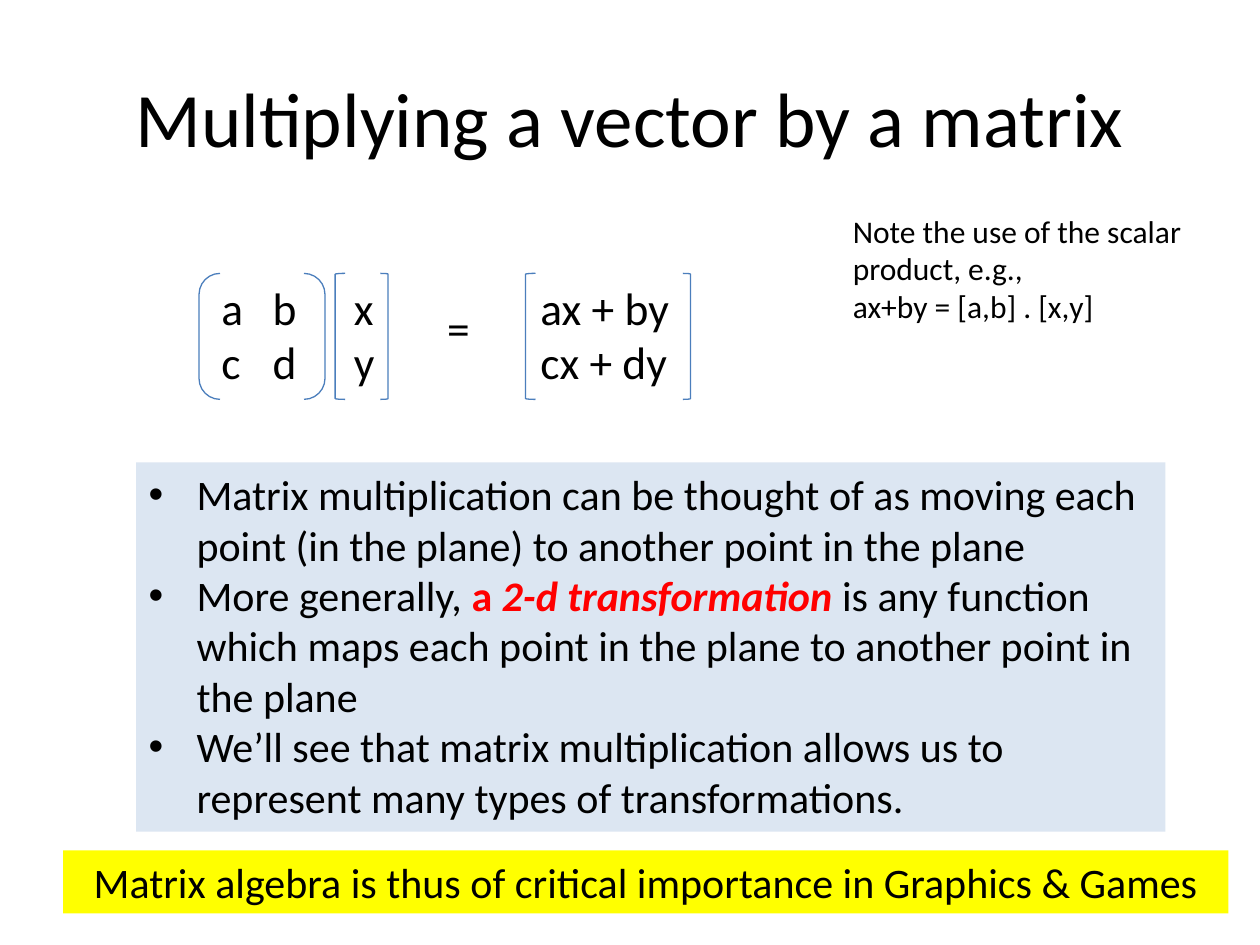
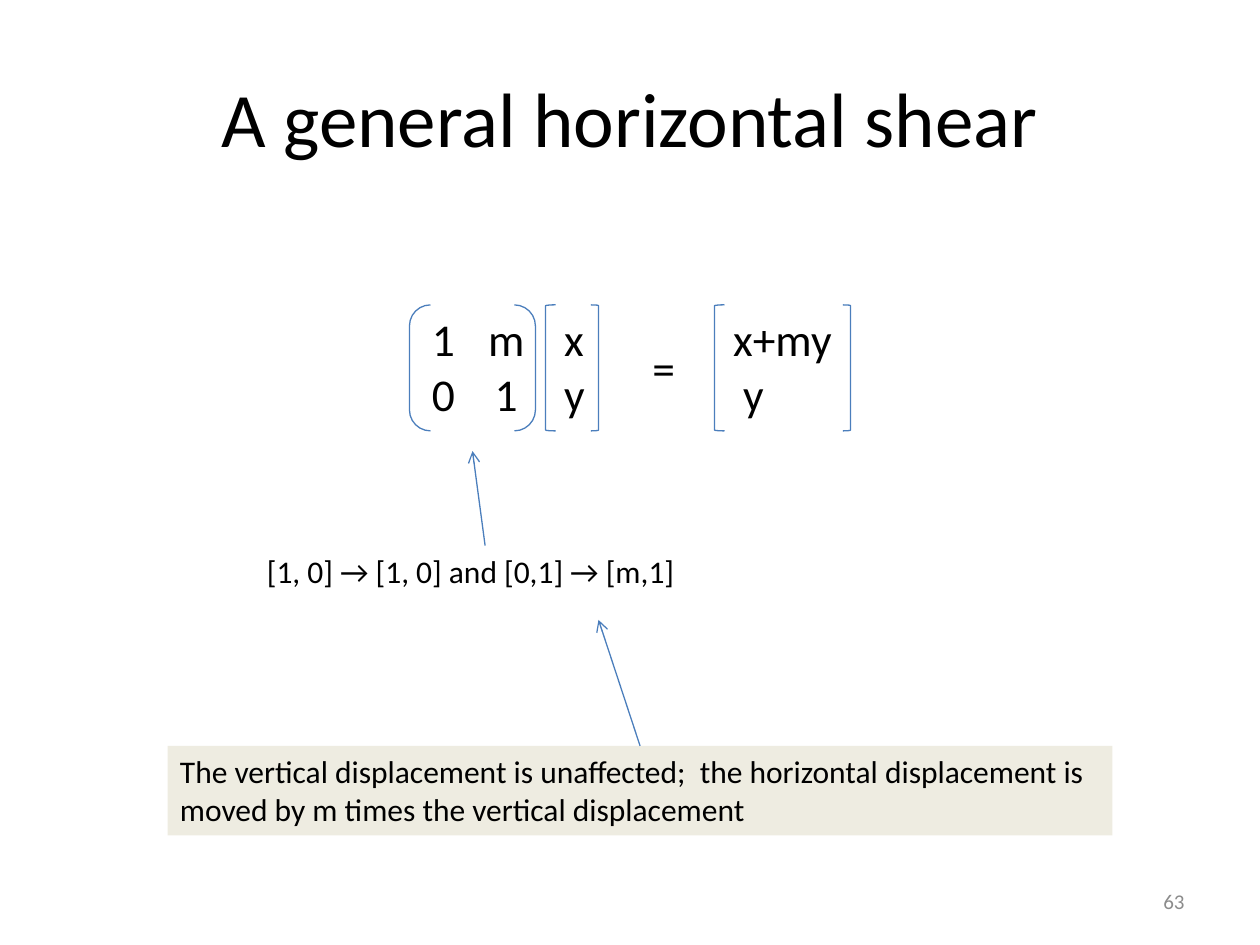
import pptx
import pptx.util
import pptx.dml.color
import pptx.enum.shapes
import pptx.enum.text
import pptx.oxml.ns
import lxml.etree

Inches = pptx.util.Inches
SHAPE = pptx.enum.shapes.MSO_SHAPE
ALIGN = pptx.enum.text.PP_ALIGN
ANCHOR = pptx.enum.text.MSO_ANCHOR

FONT = "Calibri"
BLACK, RED, GREY, BLUE = "000000", "FF0000", "8C8C8C", "4B7EBC"
PALE, YELLOW, CREAM = "DCE6F2", "FFFF00", "EEECE1"

POINTS = [
    "Matrix multiplication can be thought of as moving each point (in the plane) to another point in the plane",
    [
        "More generally, ",
        ("a", {"color": RED, "bold": True}),
        (" 2-d transformation ", {"color": RED, "bold": True, "italic": True}),
        "is any function which maps each point in the plane to another point in the plane",
    ],
    "We’ll see that matrix multiplication allows us to represent many types of transformations.",
]
CLAIM = ["Matrix algebra is thus of critical importance in Graphics & Games"]
NOTE = ["Note the use of the scalar product, e.g.,", "ax+by = [a,b] . [x,y]"]
BASIS = ["[1, 0] → [1, 0] and [0,1] → [m,1]"]
EFFECT = ["The vertical displacement is unaffected;  the horizontal displacement is moved by m times the vertical displacement"]

PRODUCT = {
    "left": 1.58, "top": 2.17, "matrix": ["a\tb", "c\td"], "tab": 0.5,
    "equal": (3.45, 2.33), "sides": (4.17, 5.48), "inset": 0.02,
    "result": ["ax + by", "cx + dy"],
}
SHEAR = {
    "left": 3.25, "top": 2.42, "matrix": ["1\tm", "0\t1"], "tab": 0.59,
    "equal": (5.08, 2.65), "sides": (5.67, 6.75), "inset": 0.05,
    "result": ["x+my", "y"], "shift": 0.08,
}
ARROWS = [((3.85, 4.33), (3.75, 3.58)), ((5.08, 5.92), (4.75, 4.92))]


def rgb(code):
    return pptx.dml.color.RGBColor.from_string(code)


def add(node, tag, **attrs):
    return lxml.etree.SubElement(node, pptx.oxml.ns.qn(tag), **attrs)


def place(shape, box):
    shape.left, shape.top, shape.width, shape.height = map(Inches, box)


def write(shape, lines, size=26, color=BLACK, align=ALIGN.LEFT,
          anchor=ANCHOR.TOP, wrap=True, bullet=False, tab=None):
    frame = shape.text_frame
    frame.auto_size = pptx.enum.text.MSO_AUTO_SIZE.NONE
    frame.word_wrap = wrap
    frame.vertical_anchor = anchor
    for row, line in enumerate(lines):
        para = frame.add_paragraph() if row else frame.paragraphs[0]
        props = para._p.get_or_add_pPr()
        if bullet:
            gap = Inches(0.38)
            props.set("marL", str(gap))
            props.set("indent", str(-gap))
            add(props, "a:buFont", typeface="Arial")
            add(props, "a:buChar", char="•")
        if tab:
            stops = add(props, "a:tabLst")
            add(stops, "a:tab", pos=str(Inches(tab)), algn="ctr")
        para.alignment = align
        para.space_before = pptx.util.Pt(0)
        for part in [line] if isinstance(line, str) else line:
            words, look = (part, {}) if isinstance(part, str) else part
            run = para.add_run()
            run.text = words
            font = run.font
            font.name, font.size = FONT, pptx.util.Pt(size)
            font.color.rgb = rgb(look.get("color", color))
            font.bold = look.get("bold", False)
            font.italic = look.get("italic", False)
    return shape


def label(slide, box, lines, **look):
    return write(slide.shapes.add_textbox(*map(Inches, box)), lines, **look)


def panel(slide, box, lines, fill, **look):
    shape = label(slide, box, lines, **look)
    shape.fill.solid()
    shape.fill.fore_color.rgb = rgb(fill)


def bracket(slide, kind, left, top, width):
    shape = slide.shapes.add_shape(kind, *map(Inches, (left, top, width, 1)))
    shape.shadow.inherit = False
    shape.fill.background()
    shape.line.color.rgb = rgb(BLUE)
    shape.line.width = pptx.util.Pt(0.75)


def column(slide, left, right, top, inset, lines):
    bracket(slide, SHAPE.LEFT_BRACKET, left, top, 0.08)
    bracket(slide, SHAPE.RIGHT_BRACKET, right - 0.06, top, 0.06)
    box = (left + inset, top, right - left - inset, 0.98)
    return label(slide, box, lines, wrap=False)


def formula(slide, left, top, matrix, tab, equal, sides, inset, result, shift=0):
    bracket(slide, SHAPE.DOUBLE_BRACKET, left, top, 1)
    label(slide, (left + 0.08, top, 1.67, 0.98), matrix, tab=tab)
    column(slide, left + 1.08, left + 1.5, top, 0.05, ["x", "y"])
    label(slide, (*equal, 0.38, 0.54), ["="], wrap=False)
    answer = column(slide, *sides, top, inset, result)
    if shift:
        last = answer.text_frame.paragraphs[-1]
        last._p.get_or_add_pPr().set("marL", str(Inches(shift)))


def arrow(slide, start, end):
    line = slide.shapes.add_connector(
        pptx.enum.shapes.MSO_CONNECTOR.STRAIGHT, *map(Inches, start + end))
    line.line.color.rgb = rgb(BLUE)
    line.line.width = pptx.util.Pt(0.75)
    add(line.line._get_or_add_ln(), "a:tailEnd", type="arrow")
    add(line._element.spPr, "a:effectLst")


def start(deck, layout, title):
    slide = deck.slides.add_slide(deck.slide_layouts[layout])
    place(slide.shapes.title, (0.5, 0.3, 9, 1.25))
    write(slide.shapes.title, [title], size=44,
          align=ALIGN.CENTER, anchor=ANCHOR.MIDDLE)
    return slide


def multiply(deck):
    slide = start(deck, 1, "Multiplying a vector by a matrix")
    formula(slide, **PRODUCT)
    body = slide.placeholders[1]
    place(body, (1.08, 3.67, 8.17, 2.93))
    body.fill.solid()
    body.fill.fore_color.rgb = rgb(PALE)
    write(body, POINTS, size=24, bullet=True)
    panel(slide, (0.5, 6.75, 9.25, 0.5), CLAIM, YELLOW, size=24, align=ALIGN.CENTER)
    label(slide, (6.67, 1.63, 2.92, 1.01), NOTE, size=18)


def shear(deck):
    slide = start(deck, 5, "A general horizontal shear")
    formula(slide, **SHEAR)
    panel(slide, (1.33, 5.92, 7.5, 0.71), EFFECT, CREAM, size=18)
    label(slide, (2.02, 4.33, 3.64, 0.4), BASIS, size=18, wrap=False)
    label(slide, (7.17, 6.95, 2.33, 0.4), ["63"], size=12, color=GREY,
          align=ALIGN.RIGHT, anchor=ANCHOR.MIDDLE)
    for tail, head in ARROWS:
        arrow(slide, tail, head)


def main():
    deck = pptx.Presentation()
    deck.slide_width, deck.slide_height = Inches(10), Inches(7.5)
    multiply(deck)
    shear(deck)
    deck.save("out.pptx")


if __name__ == "__main__":
    main()
